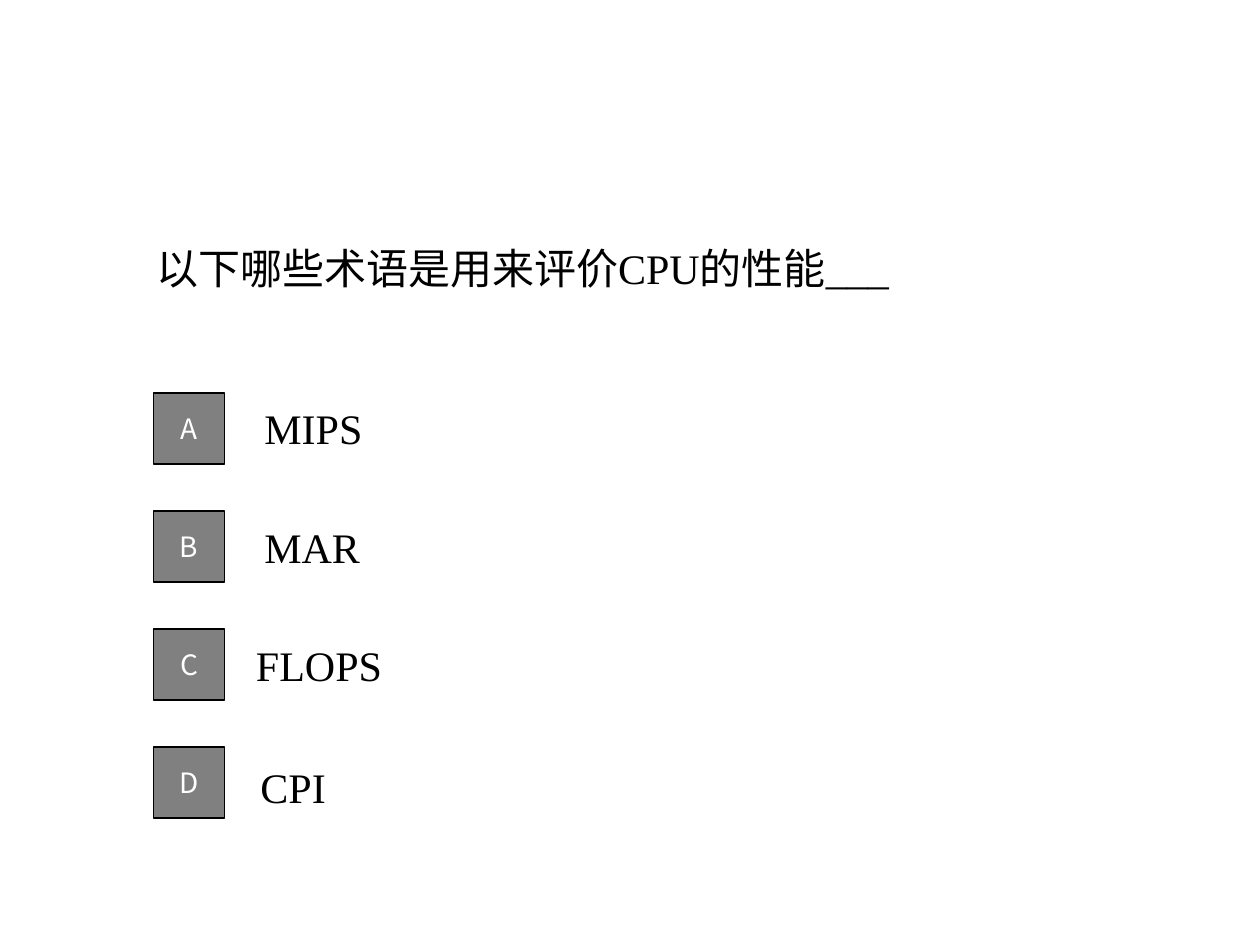
import dataclasses
import typing

import pptx
import pptx.dml.color
import pptx.enum.shapes
import pptx.enum.text
import pptx.oxml.ns
import pptx.util
import lxml.etree

Pt = pptx.util.Pt
ALIGN = pptx.enum.text.PP_ALIGN
HUES = {"ink": "000000", "tile": "808080", "mark": "FFFFFF"}
SANS = "Noto Sans CJK SC"
BODY = {"size": Pt(24), "name": "Times New Roman"}
MARK = {"size": Pt(16), "name": SANS}
FRAME = {
    "word_wrap": True,
    "auto_size": pptx.enum.text.MSO_AUTO_SIZE.NONE,
    "vertical_anchor": pptx.enum.text.MSO_ANCHOR.MIDDLE,
}
TOP, STEP, SIDE = 224.5, 67.5, 40.5


@dataclasses.dataclass
class Choice:
    mark: str
    text: str
    left: float
    drop: float = 0


CHOICES = [
    Choice("A", "MIPS", 144),
    Choice("B", "MAR", 144),
    Choice("C", "FLOPS", 139.2),
    Choice("D", "CPI", 141.8, 2.5),
]


def tint(name: str) -> pptx.dml.color.RGBColor:
    return pptx.dml.color.RGBColor.from_string(HUES[name])


def apply(item: typing.Any, style: dict) -> None:
    for key, value in style.items():
        setattr(item, key, value)


def write(shape: typing.Any, text: str, style: dict, hue: str, align: ALIGN) -> None:
    frame = shape.text_frame
    apply(frame, FRAME)
    para = frame.paragraphs[0]
    para.alignment = align
    run = para.add_run()
    run.text = text
    apply(run.font, style)
    run.font.color.rgb = tint(hue)
    east = lxml.etree.SubElement(run.font._element, pptx.oxml.ns.qn("a:ea"))
    east.set("typeface", SANS)


def draw(slide: typing.Any, row: int, choice: Choice) -> None:
    top = TOP + row * STEP
    label = slide.shapes.add_textbox(
        Pt(choice.left), Pt(top - 5 + choice.drop), Pt(504), Pt(50.4)
    )
    write(label, choice.text, BODY, "ink", ALIGN.LEFT)
    tile = slide.shapes.add_shape(
        pptx.enum.shapes.MSO_SHAPE.RECTANGLE, Pt(87.8), Pt(top), Pt(SIDE), Pt(SIDE)
    )
    tile.shadow.inherit = False
    tile.fill.solid()
    tile.fill.fore_color.rgb = tint("tile")
    tile.line.color.rgb = tint("ink")
    tile.line.width = Pt(1)
    write(tile, choice.mark, MARK, "mark", ALIGN.CENTER)


def main() -> None:
    deck = pptx.Presentation()
    apply(deck, {"slide_width": Pt(720), "slide_height": Pt(540)})
    slide = deck.slides.add_slide(deck.slide_layouts[5])
    title = slide.shapes.title
    place = {"left": Pt(82), "top": Pt(69), "width": Pt(576), "height": Pt(168.5)}
    apply(title, place)
    write(title, "以下哪些术语是用来评价CPU的性能___", BODY, "ink", ALIGN.LEFT)
    for row, choice in enumerate(CHOICES):
        draw(slide, row, choice)
    deck.save("out.pptx")


if __name__ == "__main__":
    main()
